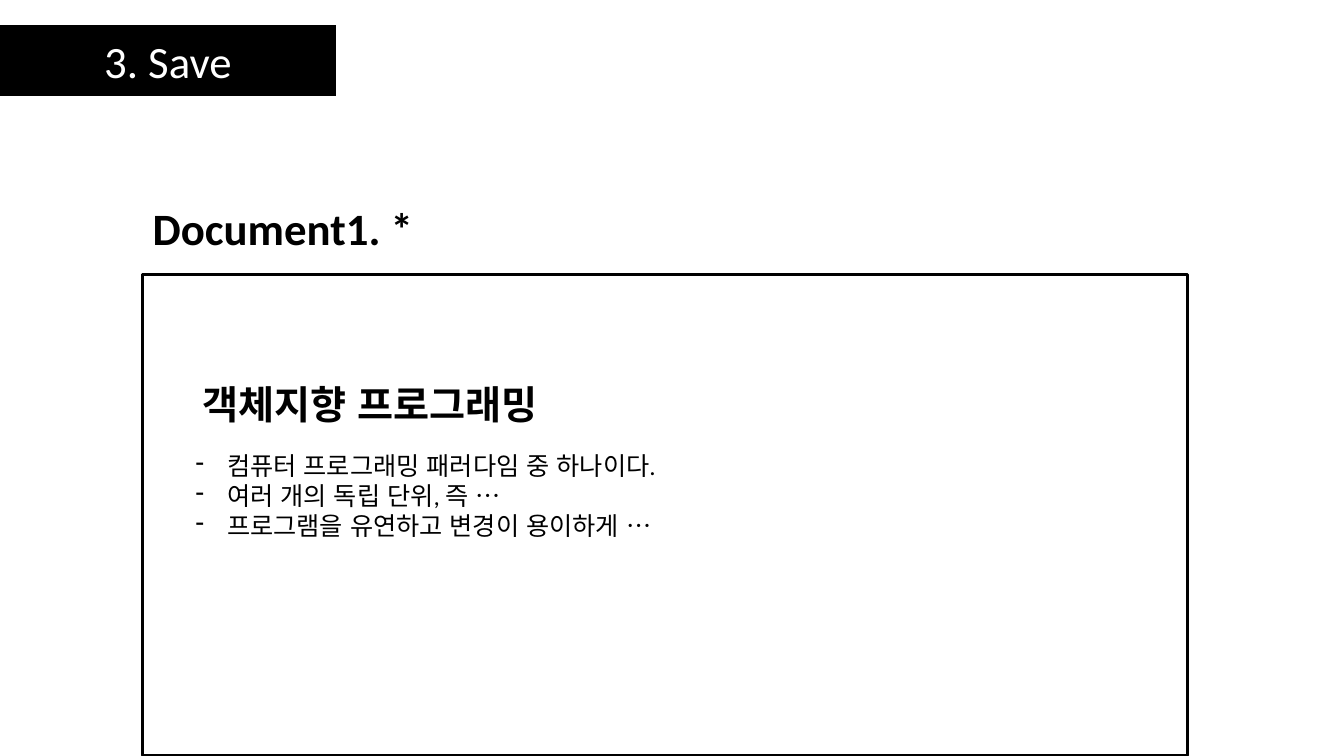
from dataclasses import dataclass

from lxml.etree import SubElement
from pptx import Presentation
from pptx.dml.color import RGBColor as Rgb
from pptx.enum.lang import MSO_LANGUAGE_ID as Lang
from pptx.enum.shapes import MSO_SHAPE as Kind
from pptx.enum.text import MSO_ANCHOR as Anchor
from pptx.enum.text import MSO_AUTO_SIZE as Fit
from pptx.enum.text import PP_ALIGN as Align
from pptx.oxml.ns import qn
from pptx.util import Pt

HUES = {"ink": "000000", "paper": "FFFFFF"}
FONT = "Calibri"
INDENT = 22.5


@dataclass
class Box:
    left: float
    top: float
    width: float
    height: float

    def spans(self) -> list:
        return [Pt(n) for n in (self.left, self.top, self.width, self.height)]


@dataclass
class Label:
    box: Box
    lines: list
    size: float
    bold: bool = False
    hue: str = "ink"
    lang: Lang = Lang.KOREAN
    align: Align = Align.LEFT
    anchor: Anchor = Anchor.TOP


def hue(name: str) -> Rgb:
    return Rgb.from_string(HUES[name])


def place(shape, box: Box) -> None:
    shape.left, shape.top, shape.width, shape.height = box.spans()


def write(shape, label: Label) -> None:
    frame = shape.text_frame
    frame.word_wrap = True
    frame.auto_size = Fit.NONE
    frame.vertical_anchor = label.anchor
    for i, line in enumerate(label.lines):
        para = frame.add_paragraph() if i else frame.paragraphs[0]
        para.alignment = label.align
        para.space_before = Pt(0)
        run = para.add_run()
        run.text = line
        font = run.font
        font.name, font.size, font.bold = FONT, Pt(label.size), label.bold
        font.color.rgb = hue(label.hue)
        font.language_id = label.lang


def dash(para) -> None:
    props = para._p.get_or_add_pPr()
    props.set("marL", str(Pt(INDENT)))
    props.set("indent", str(-Pt(INDENT)))
    SubElement(props, qn("a:buFontTx"))
    SubElement(props, qn("a:buChar")).set("char", "-")


deck = Presentation()
deck.slide_width, deck.slide_height = Pt(960), Pt(540)
slide = deck.slides.add_slide(deck.slide_layouts[1])
shapes = slide.shapes
title, body = shapes.title, slide.placeholders[1]

# Page frame
page = shapes.add_shape(Kind.RECTANGLE, *Box(102, 196, 746, 344).spans())
page.shadow.inherit = False
page.fill.background()
page.line.color.rgb = hue("ink")
page.line.width = Pt(2.25)

# File name and page heading
LABELS = [
    Label(Box(102, 140, 202, 46), ["Document1. *"], 32, True,
          lang=Lang.ENGLISH_US),
    Label(Box(137.5, 268, 276, 41), ["객체지향 프로그래밍"], 28, True),
]
for label in LABELS:
    write(shapes.add_textbox(*label.box.spans()), label)

# Notes on the page
notes = Label(Box(132.5, 318, 367, 73), [
    "컴퓨터 프로그래밍 패러다임 중 하나이다.",
    "여러 개의 독립 단위, 즉 …",
    "프로그램을 유연하고 변경이 용이하게 …",
], 18)
place(body, notes.box)
write(body, notes)
for para in body.text_frame.paragraphs:
    dash(para)

# Step banner: the title itself takes the arrow outline
step = Label(Box(0, 18, 240, 50.5), ["3. Save"], 32, hue="paper",
             lang=Lang.ENGLISH_US, align=Align.CENTER, anchor=Anchor.MIDDLE)
place(title, step.box)
shape_xml = SubElement(title._element.spPr, qn("a:prstGeom"))
shape_xml.set("prst", "homePlate")
SubElement(shape_xml, qn("a:avLst"))
title.fill.solid()
title.fill.fore_color.rgb = hue("ink")
write(title, step)

deck.save("out.pptx")
